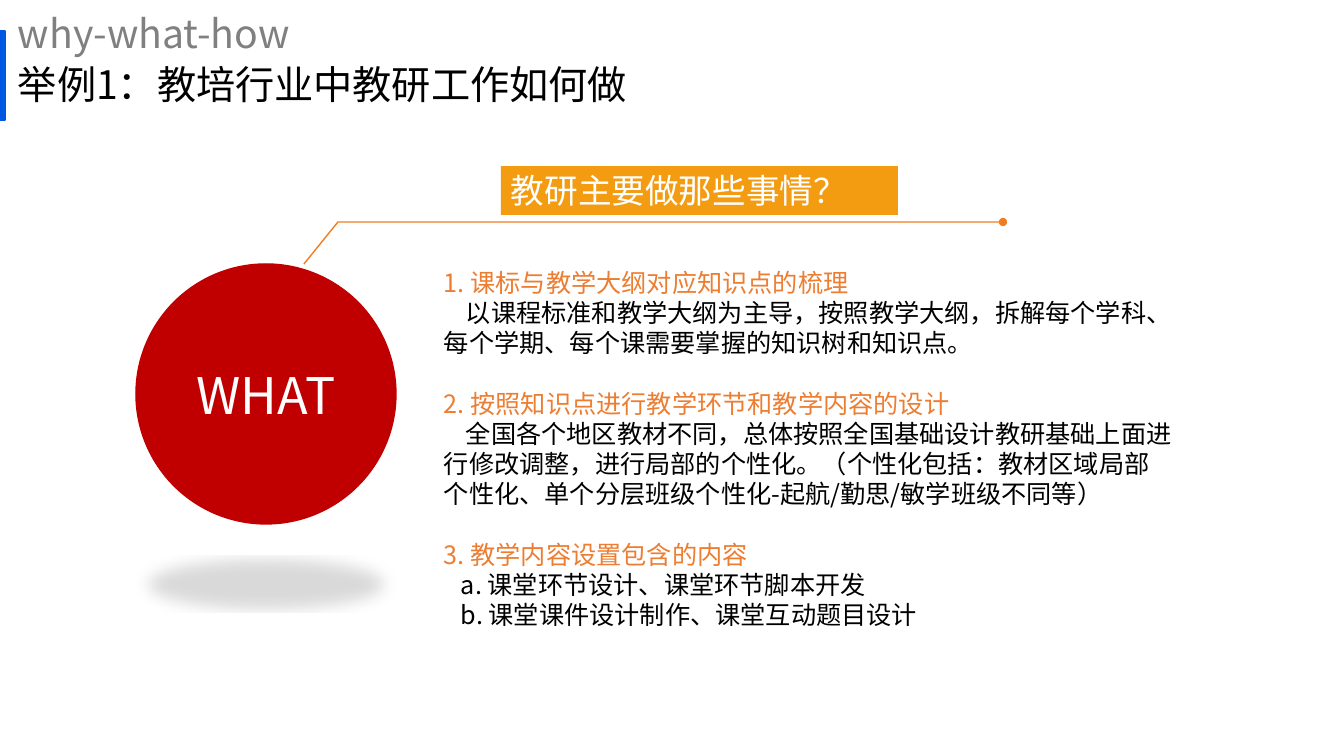
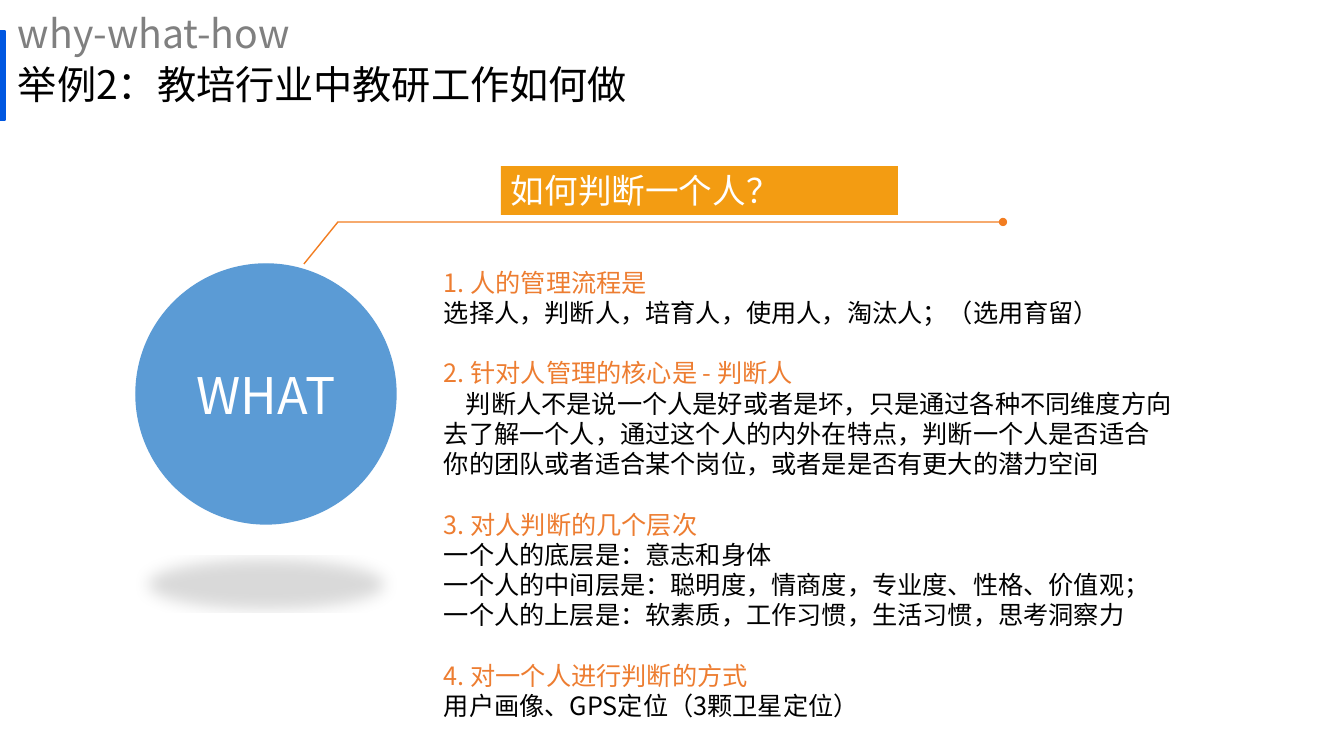
from lxml import etree
from pptx import Presentation
from pptx.dml.color import RGBColor
from pptx.enum.shapes import MSO_SHAPE
from pptx.enum.text import MSO_ANCHOR, PP_ALIGN
from pptx.oxml.ns import qn
from pptx.util import Pt

PX = 914400 / 100.8
RECTANGLE, OVAL = MSO_SHAPE.RECTANGLE, MSO_SHAPE.OVAL
TOP, MIDDLE = MSO_ANCHOR.TOP, MSO_ANCHOR.MIDDLE
LEFT, CENTER = PP_ALIGN.LEFT, PP_ALIGN.CENTER

FONT = "Noto Sans CJK SC"
BLUE, BANNER, RULE, HEADING = "0057E1", "F39C12", "F27D21", "ED7D31"
BLACK, GREY, WHITE = "000000", "808080", "FFFFFF"
LINE_HEIGHT = Pt(21.6)

# Paragraph kinds of the body: colour, left margin and first-line indent in px
KINDS = {
    "heading": (HEADING, 0, 0),
    "plain": (BLACK, 0, 0),
    "indented": (BLACK, 0, 22),
    "item": (BLACK, 17, 0),
}


def px(length):
    return round(length * PX)


def rgb(value):
    return RGBColor.from_string(value)


def set_all(target, values):
    for name, value in values.items():
        setattr(target, name, value)


class Deck:
    def __init__(self):
        self.presentation = Presentation()
        set_all(self.presentation, {"slide_width": px(1344), "slide_height": px(756)})
        self.slide = None

    def new_slide(self, title):
        layout = self.presentation.slide_layouts[6]
        self.slide = self.presentation.slides.add_slide(layout)
        self.shape(RECTANGLE, (0, 31, 5, 89), BLUE, outlined=True)
        self.title(title, 53, BLACK)

    def shape(self, preset, box, color, outlined=False):
        shape = self.slide.shapes.add_shape(preset, *map(px, box))
        shape.shadow.inherit = False
        shape.fill.solid()
        shape.fill.fore_color.rgb = rgb(color)
        if outlined:
            shape.line.color.rgb = rgb(color)
            shape.line.width = Pt(1)
        else:
            shape.line.fill.background()
        return shape

    def frame(self, shape, anchor):
        set_all(shape.text_frame, {"word_wrap": True, "vertical_anchor": anchor})
        return shape.text_frame

    def add_text(self, paragraph, text, size, color, **formats):
        set_all(paragraph, formats)
        run = paragraph.add_run()
        run.text = text
        set_all(run.font, {"size": Pt(size), "name": FONT})
        run.font.color.rgb = rgb(color)
        etree.SubElement(run._r.get_or_add_rPr(), qn("a:ea"), typeface=FONT)

    def text_box(self, box, anchor):
        return self.frame(self.slide.shapes.add_textbox(*map(px, box)), anchor)

    def title(self, text, top, color):
        frame = self.text_box((8, top, 1159, 67), MIDDLE)
        self.add_text(frame.paragraphs[0], text, 28, color, line_spacing=0.9)

    def circle(self, text, color):
        circle = self.shape(OVAL, (136, 264, 260, 260), color, outlined=True)
        frame = self.frame(circle, MIDDLE)
        self.add_text(frame.paragraphs[0], text, 36, WHITE, alignment=CENTER)
        self.floor_shadow(circle)

    def floor_shadow(self, shape):
        """Cast a flat, blurred shadow below the shape."""
        effects = shape._element.spPr.find(qn("a:effectLst"))
        shadow = etree.SubElement(
            effects, qn("a:outerShdw"), blurRad=str(int(Pt(12))), dist=str(int(Pt(25))),
            dir="5400000", sx="90000", sy="-19000", rotWithShape="0")
        color = etree.SubElement(shadow, qn("a:srgbClr"), val=BLACK)
        etree.SubElement(color, qn("a:alpha"), val="15000")

    def callout_line(self, points):
        builder = self.slide.shapes.build_freeform(*points[0], scale=PX)
        builder.add_line_segments(points[1:], close=False)
        line = builder.convert_to_shape()
        line.shadow.inherit = False
        line.fill.background()
        line.line.color.rgb = rgb(RULE)
        line.line.width = Pt(1)
        outline = line._element.spPr.find(qn("a:ln"))
        etree.SubElement(outline, qn("a:tailEnd"), type="oval")

    def banner(self, text):
        frame = self.frame(self.shape(RECTANGLE, (501, 166, 397, 49), BANNER), MIDDLE)
        self.add_text(frame.paragraphs[0], text, 24, WHITE, alignment=LEFT)

    def body(self, paragraphs, height):
        frame = self.text_box((434, 262, 749, height), TOP)
        for index, (kind, text) in enumerate(paragraphs):
            paragraph = frame.add_paragraph() if index else frame.paragraphs[0]
            color, margin, indent = KINDS[kind]
            properties = paragraph._p.get_or_add_pPr()
            properties.set("marL", str(px(margin)))
            properties.set("indent", str(px(indent)))
            gap = LINE_HEIGHT if index and kind == "heading" else 0
            self.add_text(paragraph, text, 18, color,
                          line_spacing=LINE_HEIGHT, space_before=gap)

    def what_slide(self, title, color, question, paragraphs, height):
        self.new_slide(title)
        self.circle("WHAT", color)
        self.callout_line([(304, 264), (338, 222), (1003, 222)])
        self.banner(question)
        self.body(paragraphs, height)
        self.title("why-what-how", 2, GREY)


SLIDES = [
    ("举例1：教培行业中教研工作如何做", "C00000", "教研主要做那些事情？", [
        ("heading", "1. 课标与教学大纲对应知识点的梳理"),
        ("indented", "以课程标准和教学大纲为主导，按照教学大纲，拆解每个学科、"
                     "每个学期、每个课需要掌握的知识树和知识点。"),
        ("heading", "2. 按照知识点进行教学环节和教学内容的设计"),
        ("indented", "全国各个地区教材不同，总体按照全国基础设计教研基础上面进"
                     "行修改调整，进行局部的个性化。（个性化包括：教材区域局部"
                     "个性化、单个分层班级个性化-起航/勤思/敏学班级不同等）"),
        ("heading", "3. 教学内容设置包含的内容"),
        ("item", "a. 课堂环节设计、课堂环节脚本开发"),
        ("item", "b. 课堂课件设计制作、课堂互动题目设计"),
    ], 376),
    ("举例2：教培行业中教研工作如何做", "5B9BD5", "如何判断一个人？", [
        ("heading", "1. 人的管理流程是"),
        ("plain", "选择人，判断人，培育人，使用人，淘汰人；（选用育留）"),
        ("heading", "2. 针对人管理的核心是 - 判断人"),
        ("indented", "判断人不是说一个人是好或者是坏，只是通过各种不同维度方向"
                     "去了解一个人，通过这个人的内外在特点，判断一个人是否适合"
                     "你的团队或者适合某个岗位，或者是是否有更大的潜力空间"),
        ("heading", "3. 对人判断的几个层次"),
        ("plain", "一个人的底层是：意志和身体"),
        ("plain", "一个人的中间层是：聪明度，情商度，专业度、性格、价值观；"),
        ("plain", "一个人的上层是：软素质，工作习惯，生活习惯，思考洞察力"),
        ("heading", "4. 对一个人进行判断的方式"),
        ("plain", "用户画像、GPS定位（3颗卫星定位）"),
    ], 468),
]


def main():
    deck = Deck()
    for content in SLIDES:
        deck.what_slide(*content)
    deck.presentation.save("out.pptx")


if __name__ == "__main__":
    main()
